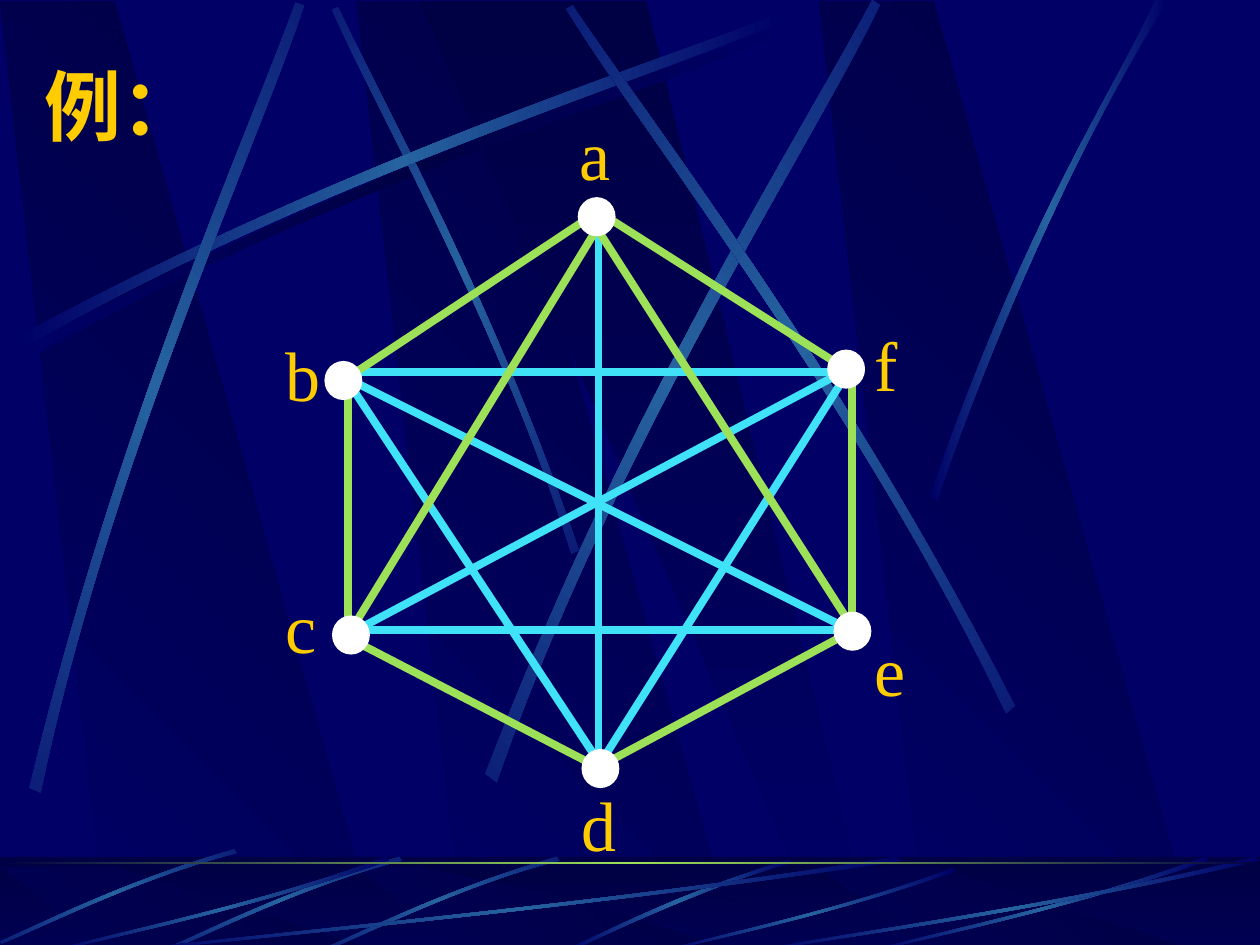
from math import cos, radians, sin

from lxml.etree import SubElement as Sub
from pptx import Presentation
from pptx.dml.color import RGBColor as RGB
from pptx.enum.shapes import MSO_CONNECTOR as Conn, MSO_SHAPE as Kind
from pptx.enum.text import MSO_ANCHOR as Anchor, MSO_AUTO_SIZE as Auto, PP_ALIGN as Align
from pptx.oxml.ns import qn
from pptx.util import Inches, Pt

NAVY = RGB(0x00, 0x00, 0x66)
DARK = RGB(0x00, 0x00, 0x44)
STEEL = RGB(0x26, 0x63, 0xA0)
CYAN = RGB(0x40, 0xE2, 0xF8)
GREEN = RGB(0x9C, 0xE1, 0x57)
GOLD = RGB(0xFF, 0xCC, 0x00)
WHITE = RGB(0xFF, 0xFF, 0xFF)

FADE = (DARK, NAVY)
GLOW = (NAVY, STEEL, NAVY)
SHADE = (NAVY, DARK, NAVY)
RULE = (DARK, GREEN, DARK)

TITLE = {"name": "Montserrat", "size": Pt(44), "bold": True}
LABEL = {"name": "Times New Roman", "size": Pt(40), "bold": False}

# Blades: four Bezier points out, four back
LONG = [(0.14, 2.67), (2.78, 1.25), (5.18, 0.51), (6.2, 0.1),
        (6.23, 0.16), (5.22, 0.61), (2.48, 1.43), (0.17, 2.77)]
TURNED = [  # points, pivot, turn
    ([(4.6, 4.36), (3.91, 2.34), (3.02, 0.77), (2.69, 0.05),
      (2.64, 0.07), (2.95, 0.79), (3.98, 2.58), (4.54, 4.39)], (3.62, 2.23), 45),
    (LONG, (0, 0), 0),
    ([(0.23, 6.25), (0.93, 3.34), (1.97, 1.05), (2.34, 0.02),
      (2.41, 0.04), (2.07, 1.09), (0.86, 3.68), (0.32, 6.29)], (1.33, 3.16), 311.7),
    ([(3.85, 6.14), (4.98, 3.2), (6.38, 1.02), (6.92, 0),
      (6.98, 0.04), (6.49, 1.08), (4.86, 3.55), (3.94, 6.21)], (5.43, 3.11), 321.6),
    ([(8.06, 5.6), (6.7, 2.93), (5.16, 0.95), (4.55, 0.04),
      (4.5, 0.07), (5.07, 1.01), (6.85, 3.25), (7.99, 5.66)], (6.27, 2.86), 34.8),
    ([(7.38, 3.94), (8.14, 1.73), (8.88, 0.66), (9.17, 0),
      (9.27, 0), (8.36, 1.45), (7.69, 3.22), (7.44, 3.97)], (0, 0), 0),
]
FIRST = [(6.27, 6.82), (5.37, 7.09), (4.77, 7.42), (4.48, 7.54),
         (4.53, 7.55), (4.9, 7.37), (5.71, 7), (6.28, 6.85)]
SHORT = [(4.42, 6.8), (3.55, 7.05), (2.87, 7.4), (2.56, 7.53),
         (2.57, 7.55), (2.88, 7.43), (3.65, 7.03), (4.44, 6.83)]
SWEEP = [(1, 0.04), (0.57, 0.57), (0.17, 0.85), (0.01, 1),
         (0, 0.99), (0.17, 0.81), (0.61, 0.51), (0.99, 0)]
SWEEPS = [(1, 6.8, 6.17, 0.75), (0.42, 6.8, 2.67, 0.75), (5.27, 6.89, 2.31, 0.66),
          (6.92, 6.8, 2.67, 0.75), (6, 6.8, 4, 0.75)]

# Graph: edge ends, then name, dot corner, label corner and label width
BLUE = [(2.8, 5, 6.8, 5), (4.75, 1.75, 4.75, 6.08), (2.83, 5, 6.75, 2.92),
        (2.75, 3, 6.75, 5), (2.73, 2.98, 4.82, 6.15), (4.75, 6.08, 6.75, 2.92),
        (2.75, 2.95, 6.75, 2.95)]
LIME = [(2.76, 2.97, 2.76, 5.06), (4.67, 1.73, 2.8, 2.97), (6.74, 5.02, 4.82, 6.05),
        (4.75, 1.68, 6.7, 2.92), (2.76, 5.06, 4.67, 6.05), (4.71, 1.77, 6.74, 4.94),
        (4.79, 1.73, 2.8, 4.98), (6.76, 2.87, 6.76, 4.96)]
NODES = [("a", 4.59, 1.57, 4.5, 0.83, 0.44), ("f", 6.57, 2.78, 6.84, 2.5, 0.38),
         ("e", 6.62, 4.86, 6.84, 4.92, 0.44), ("d", 4.62, 5.95, 4.52, 6.15, 0.48),
         ("c", 2.64, 4.89, 2.17, 4.58, 0.44), ("b", 2.58, 2.87, 2.17, 2.58, 0.48)]


def blend(shape, tones, turn):
    """Fill with evenly spaced gradient stops."""
    shape.shadow.inherit = False
    shape.line.fill.background()
    shape.fill.gradient()
    grad = shape._element.spPr.find(qn("a:gradFill"))
    stops = grad.find(qn("a:gsLst"))
    for old in list(stops):
        stops.remove(old)
    for i, tone in enumerate(tones):
        stop = Sub(stops, qn("a:gs"), pos=str(100000 * i // (len(tones) - 1)))
        Sub(stop, qn("a:srgbClr"), val=str(tone))
    grad.find(qn("a:lin")).set("ang", str(turn * 60000))


def outline(shapes, points, tones, turn):
    ends = [(Inches(x), Inches(y)) for x, y in points]
    form = shapes.build_freeform(*ends[0], scale=1.0)
    form.add_line_segments(ends[1:], close=True)
    shape = form.convert_to_shape()
    blend(shape, tones, turn)
    return shape


def bend(shape):
    """Turn both long sides of a blade into Bezier curves."""
    lines = list(shape._element.iter(qn("a:lnTo")))
    for side in (lines[:3], lines[4:7]):
        arc = side[0].makeelement(qn("a:cubicBezTo"))
        side[0].addprevious(arc)
        for line in side:
            arc.append(line[0])
            line.getparent().remove(line)


def spin(points, hub, turn):
    c, s = cos(radians(turn)), sin(radians(turn))
    for x, y in points:
        dx, dy = x - hub[0], y - hub[1]
        yield hub[0] + dx * c - dy * s, hub[1] + dx * s + dy * c


def blade(shapes, points, hub=(0, 0), turn=0, tones=GLOW):
    shape = outline(shapes, list(spin(points, hub, -turn)), tones, 180)
    bend(shape)
    shape.rotation = turn


def move(points, dx, dy):
    return [(x + dx, y + dy) for x, y in points]


def panels(shapes, top, high):
    base = top + high
    for x in (2.83, 0, 6.5):
        outline(shapes, [(x + 0.86, base), (x + 3.02, base), (x + 0.91, top), (x, top)],
                FADE, 135)
    outline(shapes, [(3.33, top), (6.58, base), (6.94, base), (5.13, top)], FADE, 90)


def block(shapes, kind, *box):
    shape = shapes.add_shape(kind, *map(Inches, box))
    shape.shadow.inherit = False
    return shape


def floor(shapes):
    band = (0, 6.8, 10, 0.75)
    blend(block(shapes, Kind.RECTANGLE, *band), FADE, 90)
    panels(shapes, 6.88, 0.67)
    veil = block(shapes, Kind.RECTANGLE, *band)
    veil.line.fill.background()
    veil.fill.solid()
    veil.fill.fore_color.rgb = DARK
    tone = veil._element.spPr.find(qn("a:solidFill")).find(qn("a:srgbClr"))
    Sub(tone, qn("a:alpha"), val="50000")
    blade(shapes, FIRST)
    for dx, dy in ((0, 0), (-1.25, 0), (-2.56, -0.06)):
        blade(shapes, move(SHORT, dx, dy), (3.5 + dx, 7.18 + dy), 314.9)
    for x, y, w, h in SWEEPS:
        blade(shapes, [(x + w * u, y + h * v) for u, v in SWEEP])
    blend(block(shapes, Kind.RECTANGLE, 0, 6.84, 10, 0.02), RULE, 180)


def backdrop(slide, master):
    """Draw the decoration as a group and hand it to the master."""
    master.background.fill.solid()
    master.background.fill.fore_color.rgb = NAVY
    group = slide.shapes.add_group_shape()
    panels(group.shapes, 0.01, 7.52)
    blade(group.shapes, move(LONG, 0.06, 0.08), tones=SHADE)
    for points, hub, turn in TURNED:
        blade(group.shapes, points, hub, turn)
    floor(group.shapes)
    for i, tag in enumerate(group._element.iter(qn("p:cNvPr")), 100):
        tag.set("id", str(i))
    master.shapes._spTree.insert(2, group._element)


def style(frame, text, form):
    par = frame.paragraphs[0]
    par.alignment = Align.LEFT
    run = par.add_run()
    run.text = text
    for key, value in form.items():
        setattr(run.font, key, value)
    run.font.color.rgb = GOLD
    Sub(run._r.get_or_add_rPr(), qn("a:ea"), typeface=form["name"])


def head(title, text):
    box = {"left": 0.25, "top": 0.41, "width": 8.5, "height": 0.84}
    for key, value in box.items():
        setattr(title, key, Inches(value))
    title.text_frame.vertical_anchor = Anchor.MIDDLE
    style(title.text_frame, text, TITLE)


def edge(shapes, ends, tone):
    link = shapes.add_connector(Conn.STRAIGHT, *map(Inches, ends))
    link.line.color.rgb = tone
    link.line.width = Pt(4.5)
    Sub(link._element.spPr, qn("a:effectLst"))


def dot(shapes, x, y):
    shape = block(shapes, Kind.OVAL, x, y, 0.29, 0.3)
    shape.fill.solid()
    shape.fill.fore_color.rgb = shape.line.color.rgb = WHITE
    shape.line.width = Pt(0.75)


def label(shapes, text, x, y, wide):
    frame = shapes.add_textbox(*map(Inches, (x, y, wide, 0.77))).text_frame
    frame.word_wrap = False
    frame.auto_size = Auto.SHAPE_TO_FIT_TEXT
    style(frame, text, LABEL)


def main():
    deck = Presentation()
    deck.slide_width, deck.slide_height = Inches(10), Inches(7.5)
    slide = deck.slides.add_slide(deck.slide_layouts[5])
    backdrop(slide, deck.slide_master)
    head(slide.shapes.title, "例：")

    # Graph: inner edges, then the grouped outer edges, dots and labels
    for ends in BLUE:
        edge(slide.shapes, ends, CYAN)
    graph = slide.shapes.add_group_shape().shapes
    for ends in LIME:
        edge(graph, ends, GREEN)
    for name, x, y, *place in NODES:
        dot(graph, x, y)
        label(graph, name, *place)
    deck.save("out.pptx")


if __name__ == "__main__":
    main()
